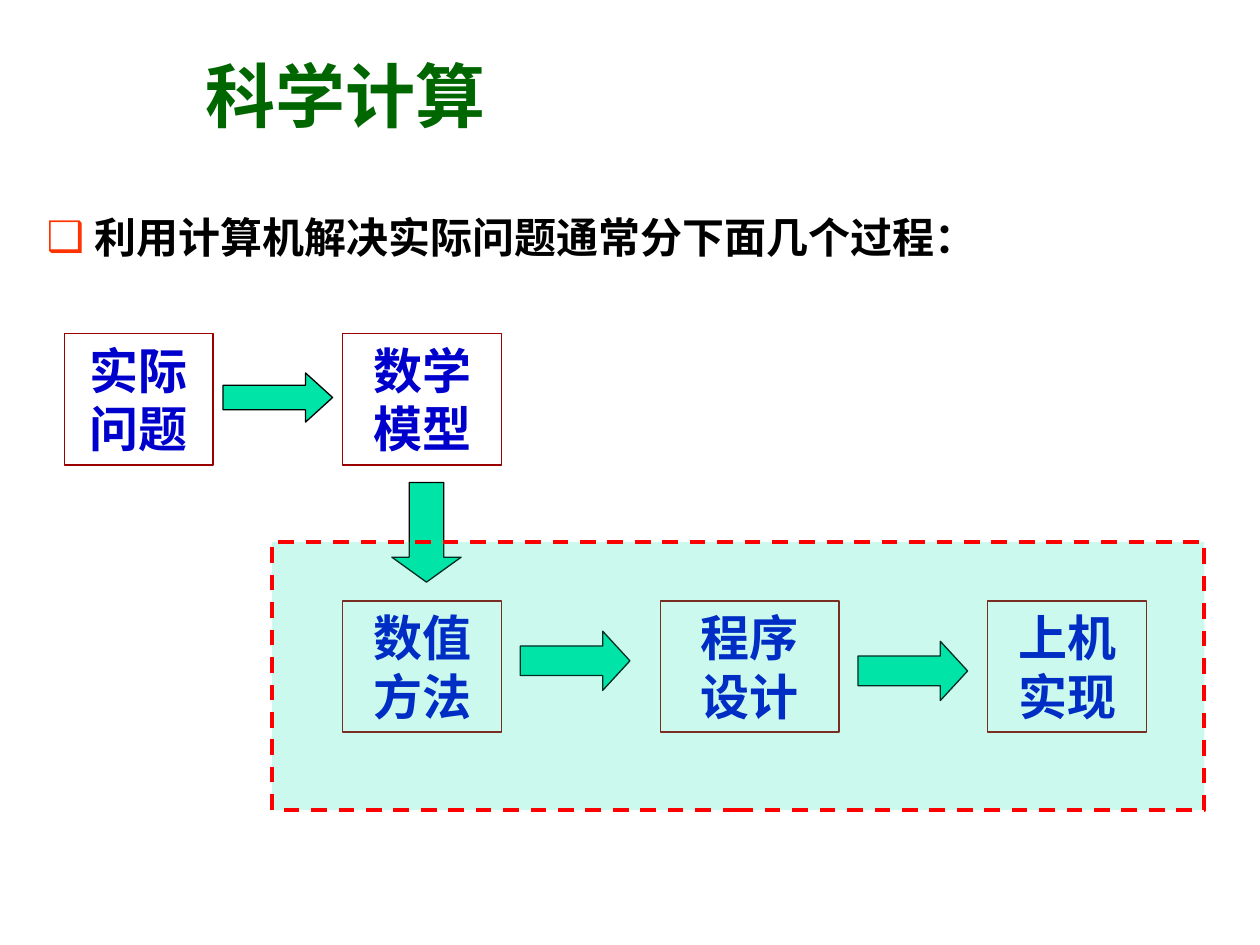
import lxml.etree
import pptx
import pptx.dml.color
import pptx.enum.dml
import pptx.enum.shapes
import pptx.enum.text
import pptx.oxml
import pptx.oxml.ns
import pptx.util

Inches = pptx.util.Inches
Pt = pptx.util.Pt
RGBColor = pptx.dml.color.RGBColor
SHAPE = pptx.enum.shapes.MSO_SHAPE
ALIGN = pptx.enum.text.PP_ALIGN
ANCHOR = pptx.enum.text.MSO_ANCHOR
qn = pptx.oxml.ns.qn

DARK_GREEN = RGBColor(0x00, 0x66, 0x00)
BLACK = RGBColor(0x00, 0x00, 0x00)
BLUE = RGBColor(0x00, 0x00, 0xCC)
MAROON = RGBColor(0x99, 0x00, 0x00)
MINT = RGBColor(0x00, 0xE4, 0xA8)
RED = RGBColor(0xFF, 0x00, 0x00)

CJK_FONT = "Noto Sans CJK SC"
SERIF_FONT = "Times New Roman"

STEP_HEIGHT = 1.04
TOP_ROW, BOTTOM_ROW = 2.65, 4.77


def place(shape, box):
    shape.left, shape.top, shape.width, shape.height = map(Inches, box)


def format_para(para, size, color, align, latin=CJK_FONT):
    para.alignment = align
    font = para.font
    font.name, font.size, font.bold = latin, Pt(size), True
    font.color.rgb = color
    defaults = para._p.pPr.find(qn("a:defRPr"))
    lxml.etree.SubElement(defaults, qn("a:ea")).set("typeface", CJK_FONT)


def add_bullet(para, char, color, indent):
    props = para._p.get_or_add_pPr()
    props.set("marL", str(Inches(indent)))
    props.set("indent", str(-Inches(indent)))
    bullet_color = lxml.etree.SubElement(props, qn("a:buClr"))
    lxml.etree.SubElement(bullet_color, qn("a:srgbClr")).set("val", color)
    lxml.etree.SubElement(props, qn("a:buChar")).set("char", char)


def add_title(page, box, text):
    title = page.shapes.title
    place(title, box)
    frame = title.text_frame
    frame.text = text
    frame.vertical_anchor = ANCHOR.BOTTOM
    frame.auto_size = pptx.enum.text.MSO_AUTO_SIZE.NONE
    format_para(frame.paragraphs[0], 40, DARK_GREEN, ALIGN.LEFT)


def add_lead(page, box, text):
    """Put the bulleted introduction in the body placeholder."""
    body = page.placeholders[1]
    place(body, box)
    frame = body.text_frame
    frame.text = text
    frame.auto_size = pptx.enum.text.MSO_AUTO_SIZE.NONE
    para = frame.paragraphs[0]
    add_bullet(para, "❑", "FF3300", 0.38)
    para.line_spacing = 1.2
    para.space_before = Pt(0)
    format_para(para, 24, BLACK, ALIGN.LEFT, SERIF_FONT)


def add_outlined(page, kind, box, line_color, line_width=0.75):
    shape = page.shapes.add_shape(kind, *map(Inches, box))
    shape.shadow.inherit = False
    shape.line.color.rgb = line_color
    shape.line.width = Pt(line_width)
    return shape


def add_step(page, box, lines):
    step = add_outlined(page, SHAPE.RECTANGLE, box, MAROON)
    step.fill.background()
    frame = step.text_frame
    frame.word_wrap = True
    frame.vertical_anchor = ANCHOR.TOP
    frame.text = "\n".join(lines)
    for para in frame.paragraphs:
        format_para(para, 28, BLUE, ALIGN.CENTER)


def add_arrow(page, kind, box, head):
    arrow = add_outlined(page, kind, box, BLACK)
    arrow.fill.solid()
    arrow.fill.fore_color.rgb = MINT
    arrow.adjustments[0] = 0.5
    arrow.adjustments[1] = head


def add_stage_frame(page, box):
    """Tint the computing stages and enclose them in a dashed border."""
    panel = add_outlined(page, SHAPE.RECTANGLE, box, RED, 2.25)
    panel.line.dash_style = pptx.enum.dml.MSO_LINE.DASH
    panel.fill.solid()
    panel.fill.fore_color.rgb = MINT
    color = panel._element.spPr.find(qn("a:solidFill")).find(qn("a:srgbClr"))
    lxml.etree.SubElement(color, qn("a:alpha")).set("val", "20000")


def add_process(page):
    steps = [
        (0.51, TOP_ROW, 1.18, ("实际", "问题")),
        (2.72, TOP_ROW, 1.26, ("数学", "模型")),
        (2.72, BOTTOM_ROW, 1.26, ("数值", "方法")),
        (5.24, BOTTOM_ROW, 1.42, ("程序", "设计")),
        (7.84, BOTTOM_ROW, 1.26, ("上机", "实现")),
    ]
    for left, top, width, lines in steps:
        add_step(page, (left, top, width, STEP_HEIGHT), lines)

    arrows = [
        (SHAPE.RIGHT_ARROW, (1.77, 2.96, 0.87, 0.39), 0.55),
        (SHAPE.RIGHT_ARROW, (4.13, 5.01, 0.87, 0.47), 0.46),
        (SHAPE.RIGHT_ARROW, (6.81, 5.09, 0.87, 0.47), 0.46),
        (SHAPE.DOWN_ARROW, (3.11, 3.83, 0.55, 0.79), 0.36),
    ]
    for kind, box, head in arrows:
        add_arrow(page, kind, box, head)


def main():
    deck = pptx.Presentation()
    deck.slide_width, deck.slide_height = Inches(10), Inches(7.5)
    page = deck.slides.add_slide(deck.slide_layouts[1])
    add_title(page, (1.53, 0.36, 5.32, 0.77), "科学计算")
    add_lead(page, (0.27, 1.55, 9.08, 0.58), "利用计算机解决实际问题通常分下面几个过程：")
    add_process(page)
    add_stage_frame(page, (2.16, 4.3, 7.4, 2.13))
    deck.save("out.pptx")


if __name__ == "__main__":
    main()
